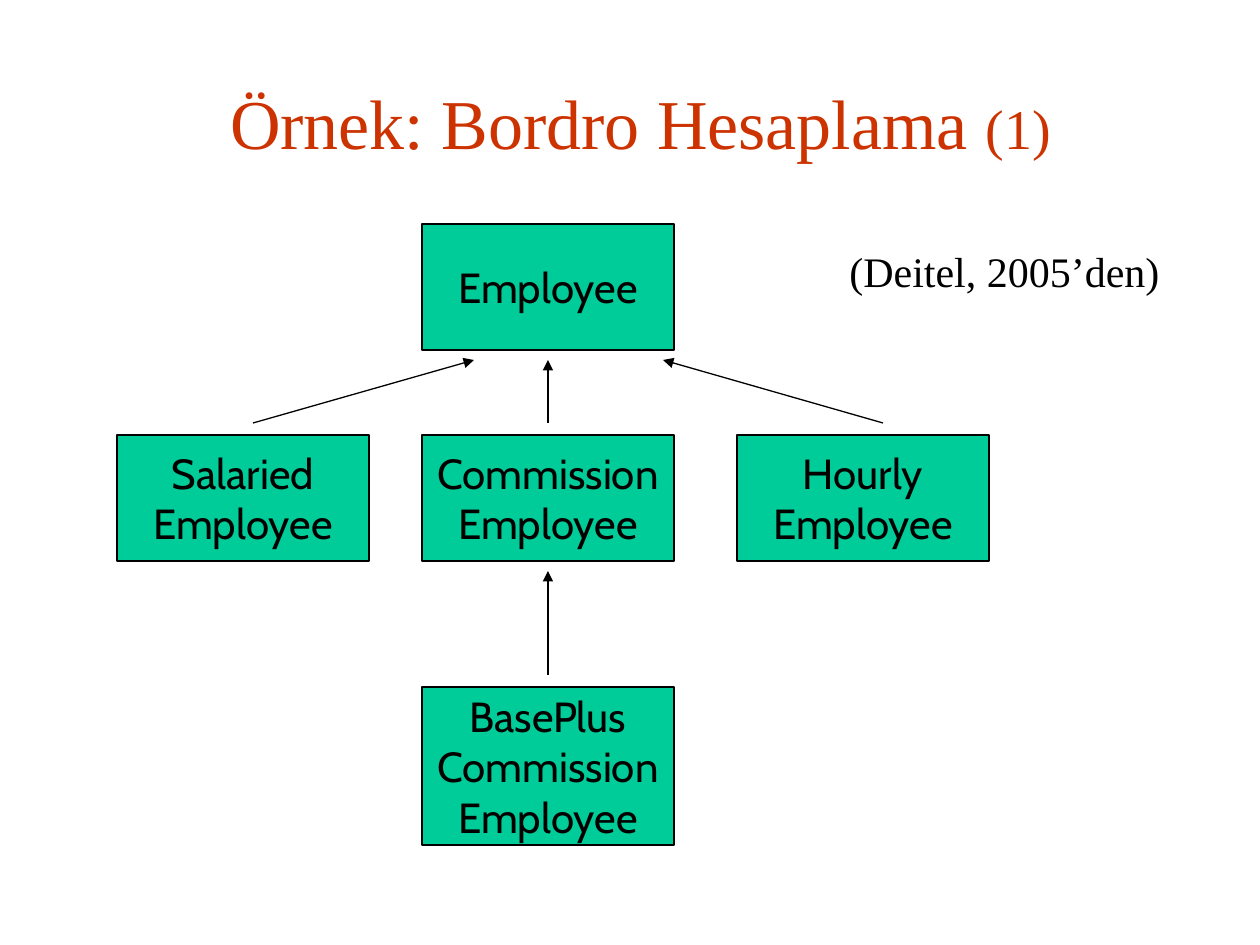
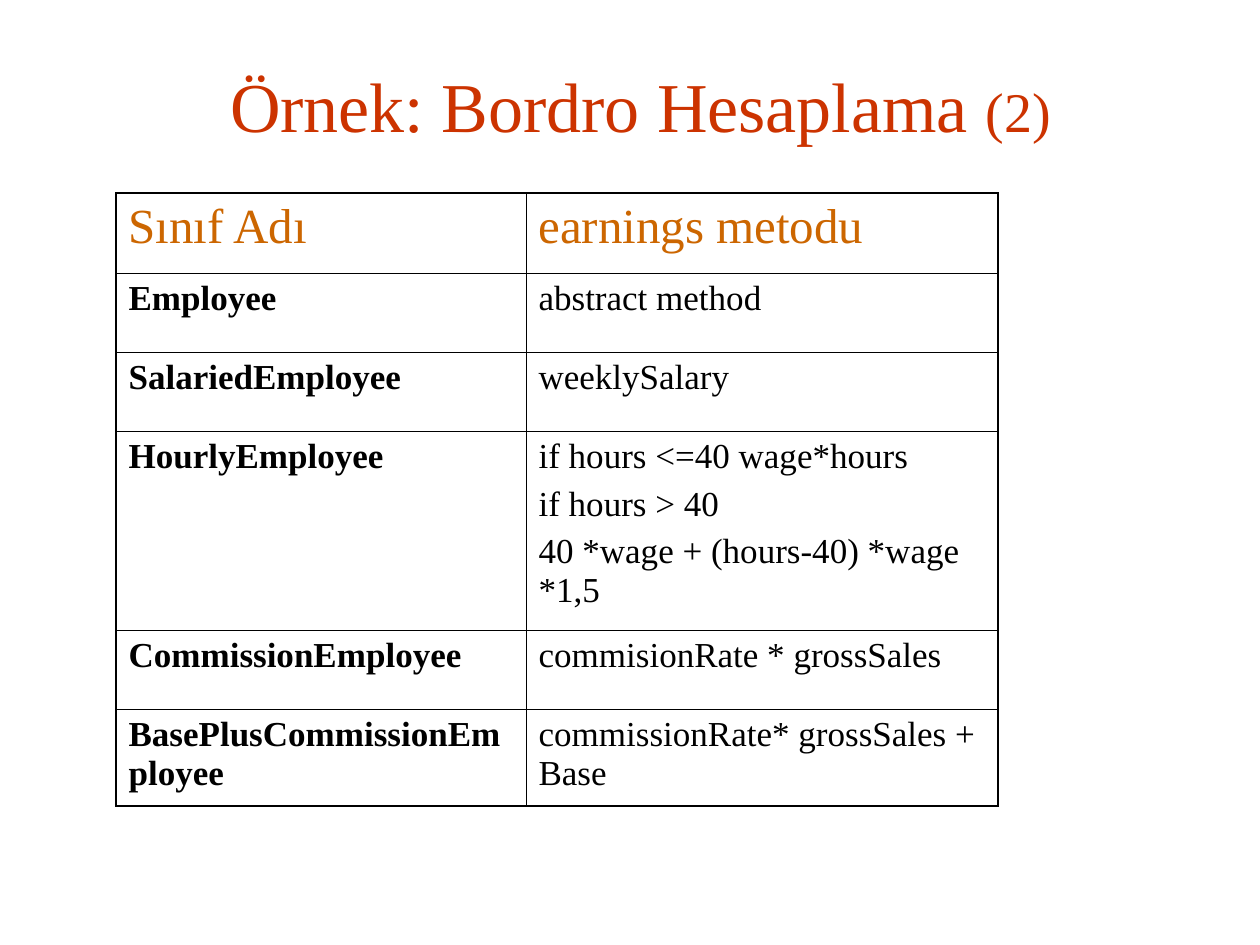
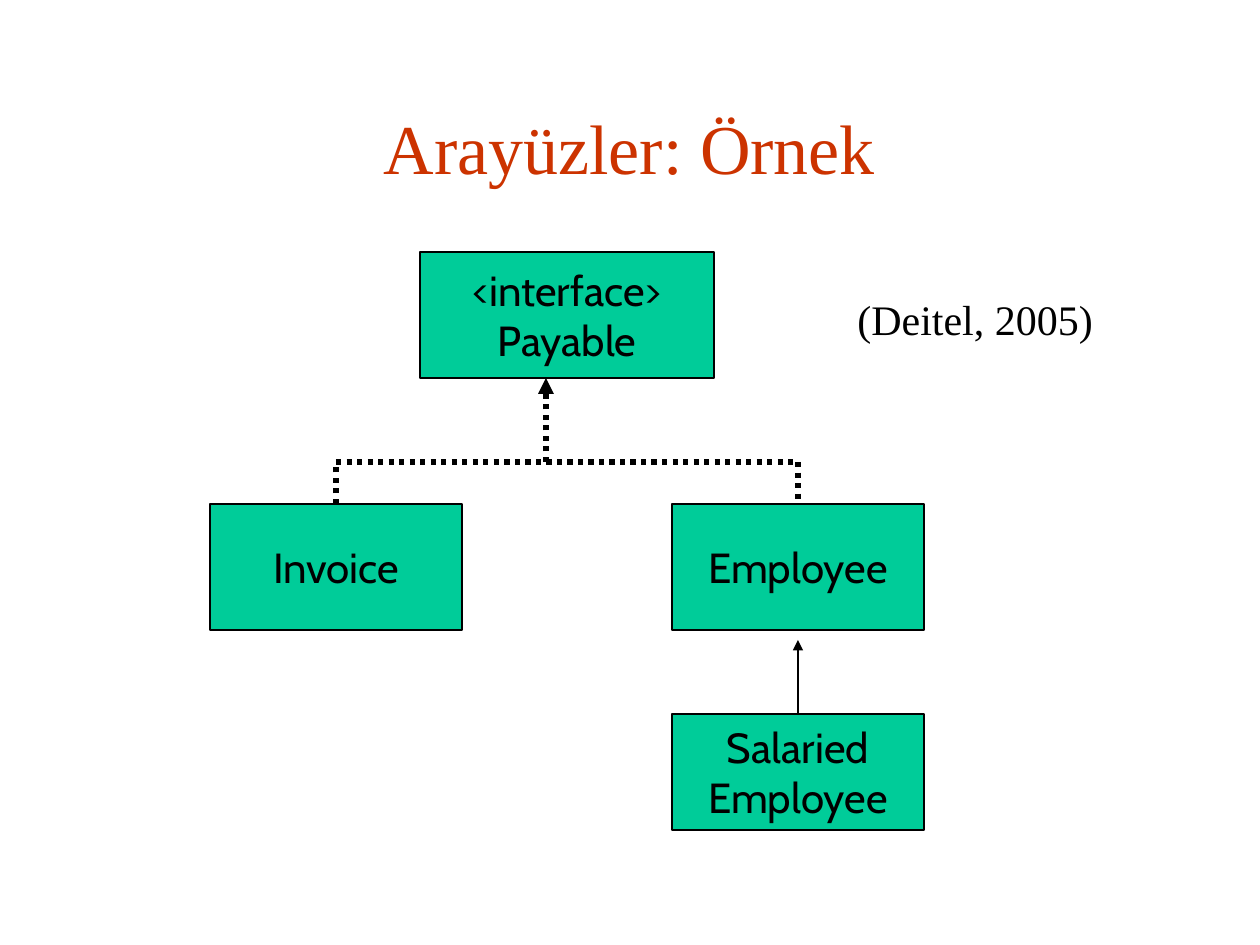
"""Builds three slides on payroll classes and interfaces."""
from lxml import etree
from pptx import Presentation
from pptx.dml.color import RGBColor
from pptx.enum.dml import MSO_LINE
from pptx.enum.shapes import MSO_CONNECTOR, MSO_SHAPE
from pptx.enum.text import MSO_ANCHOR, MSO_AUTO_SIZE, PP_ALIGN
from pptx.oxml.ns import qn
from pptx.util import Pt

SCALE = 914400 / 126
RECT = MSO_SHAPE.RECTANGLE
STRAIGHT = MSO_CONNECTOR.STRAIGHT
DOTS = MSO_LINE.ROUND_DOT
LEFT, CENTER = PP_ALIGN.LEFT, PP_ALIGN.CENTER
TOP, MIDDLE = MSO_ANCHOR.TOP, MSO_ANCHOR.MIDDLE
GROW = MSO_AUTO_SIZE.SHAPE_TO_FIT_TEXT
SERIF, SANS = "Times New Roman", "Cabin"
RED, ORANGE, GREEN, BLACK = "CC3300", "CC6600", "00CC99", "000000"
WIDE, HIGH = 252, 126
THICK, THIN = 1.08, 0.45


def px(*nums):
    """Turn px lengths into a list of EMU."""
    return [round(num * SCALE) for num in nums]


def tint(code):
    """Turn a hex string into a colour."""
    return RGBColor.from_string(code)


def write(frame, paras, font, color, align=LEFT, bold=False, gap=0):
    """Fill a text frame from paragraphs of (text, size) runs."""
    for pos, runs in enumerate(paras):
        para = frame.add_paragraph() if pos else frame.paragraphs[0]
        para.alignment = align
        if pos and gap:
            para.space_before = Pt(gap)
        for text, size in runs:
            run = para.add_run()
            run.text = text
            run.font.name = font
            run.font.size = Pt(size)
            run.font.bold = bold
            run.font.color.rgb = tint(color)


def title(slide, x, y, w, h, *runs):
    """Add the centred slide title."""
    frame = slide.shapes.add_textbox(*px(x, y, w, h)).text_frame
    frame.word_wrap = True
    frame.vertical_anchor = MIDDLE
    write(frame, [runs], SERIF, RED, CENTER)


def cite(slide, x, y, w, text):
    """Add a source note on one line."""
    frame = slide.shapes.add_textbox(*px(x, y, w, 63)).text_frame
    frame.word_wrap = False
    frame.auto_size = GROW
    write(frame, [[(text, 24)]], SERIF, BLACK)


def box(slide, x, y, *names, w=WIDE, h=HIGH):
    """Add a class box with one name part per line."""
    shape = slide.shapes.add_shape(RECT, *px(x, y, w, h))
    shape.shadow.inherit = False
    shape.fill.solid()
    shape.fill.fore_color.rgb = tint(GREEN)
    shape.line.color.rgb = tint(BLACK)
    shape.line.width = Pt(0.75)
    frame = shape.text_frame
    frame.word_wrap = False
    frame.vertical_anchor = MIDDLE
    write(frame, [[(name, 24)] for name in names], SANS, BLACK, CENTER)
    return shape


def link(slide, ends, arrow=True, dots=False, start=None, stop=None):
    """Add a straight line, joined to the tops of start and stop if given."""
    line = slide.shapes.add_connector(STRAIGHT, *px(*ends))
    if start:
        line.begin_connect(start, 0)
    if stop:
        line.end_connect(stop, 0)
    line.line.color.rgb = tint(BLACK)
    line.line.width = Pt(3 if dots else 0.75)
    if dots:
        line.line.dash_style = DOTS
    props = line._element.spPr
    if arrow:
        etree.SubElement(props.find(qn("a:ln")), qn("a:tailEnd"), type="triangle")
    etree.SubElement(props, qn("a:effectLst"))


def edge(cell, side, width):
    """Draw one black border of a cell."""
    props = cell._tc.get_or_add_tcPr()
    line = etree.SubElement(props, qn("a:ln" + side), w=str(Pt(width)))
    fill = etree.SubElement(line, qn("a:solidFill"))
    etree.SubElement(fill, qn("a:srgbClr"), val=BLACK)


def grid(slide, x, y, cols, highs, rows):
    """Add a plain ruled table with a heading row and bold first column."""
    size = px(x, y, sum(cols), sum(highs))
    table = slide.shapes.add_table(len(rows), len(cols), *size).table
    table.first_row = table.horz_banding = False
    for col, wide in zip(table.columns, px(*cols)):
        col.width = wide
    for row, high in zip(table.rows, px(*highs)):
        row.height = high
    for i, row in enumerate(rows):
        for j, lines in enumerate(row):
            cell = table.cell(i, j)
            outer = {"L": j == 0, "R": j == len(cols) - 1,
                     "T": i == 0, "B": i == len(rows) - 1}
            for side, rim in outer.items():
                edge(cell, side, THICK if rim else THIN)
            cell.fill.background()
            cell.vertical_anchor = TOP
            points, color = (20, BLACK) if i else (28, ORANGE)
            write(cell.text_frame, [[(text, points)] for text in lines],
                  SERIF, color, bold=i > 0 and j == 0, gap=5)


def classes(slide):
    """Build the employee class tree."""
    title(slide, 84, 42, 1113, 158, ("Örnek: Bordro Hesaplama ", 40), ("(1)", 32))
    box(slide, 422, 224, "Employee")
    kinds = ((117, "Salaried"), (422, "Commission"), (737, "Hourly"))
    for x, kind in kinds:
        box(slide, x, 435, kind, "Employee")
    for x, peak in ((253, 474), (548, 548), (883, 663)):
        link(slide, (x, 423, peak, 360))
    box(slide, 422, 687, "BasePlus", "Commission", "Employee", h=158)
    link(slide, (548, 675, 548, 571))
    cite(slide, 837, 239, 335, "(Deitel, 2005’den)")


def earnings(slide):
    """Build the table of earnings methods."""
    title(slide, 84, 42, 1113, 126, ("Örnek: Bordro Hesaplama ", 40), ("(2)", 32))
    rows = [
        (["Sınıf Adı"], ["earnings metodu"]),
        (["Employee"], ["abstract method"]),
        (["SalariedEmployee"], ["weeklySalary"]),
        (["HourlyEmployee"], ["if hours <=40 wage*hours", "if hours > 40",
                              "40 *wage + (hours-40) *wage *1,5"]),
        (["CommissionEmployee"], ["commisionRate * grossSales"]),
        (["BasePlusCommissionEmployee"], ["commissionRate* grossSales + Base"]),
    ]
    grid(slide, 116, 193, (410, 472), (80, 79, 79, 199, 79, 97), rows)


def payable(slide):
    """Build the interface diagram."""
    title(slide, 94, 84, 1071, 126, ("Arayüzler: Örnek", 40))
    box(slide, 420, 252, "<interface>", "Payable", w=294)
    bill = box(slide, 210, 504, "Invoice")
    staff = box(slide, 672, 504, "Employee")
    paid = box(slide, 672, 714, "Salaried", "Employee", h=116)
    link(slide, (798, 714, 798, 640), start=paid)
    link(slide, (336, 504, 336, 462), arrow=False, dots=True, start=bill)
    link(slide, (336, 462, 798, 462), arrow=False, dots=True)
    link(slide, (798, 462, 798, 504), arrow=False, dots=True, stop=staff)
    link(slide, (546, 462, 546, 378), dots=True)
    cite(slide, 845, 287, 261, "(Deitel, 2005)")


def main():
    """Build and save the slides."""
    deck = Presentation()
    deck.slide_width, deck.slide_height = px(1260, 945)
    for build in (classes, earnings, payable):
        build(deck.slides.add_slide(deck.slide_layouts[6]))
    deck.save("out.pptx")


if __name__ == "__main__":
    main()
